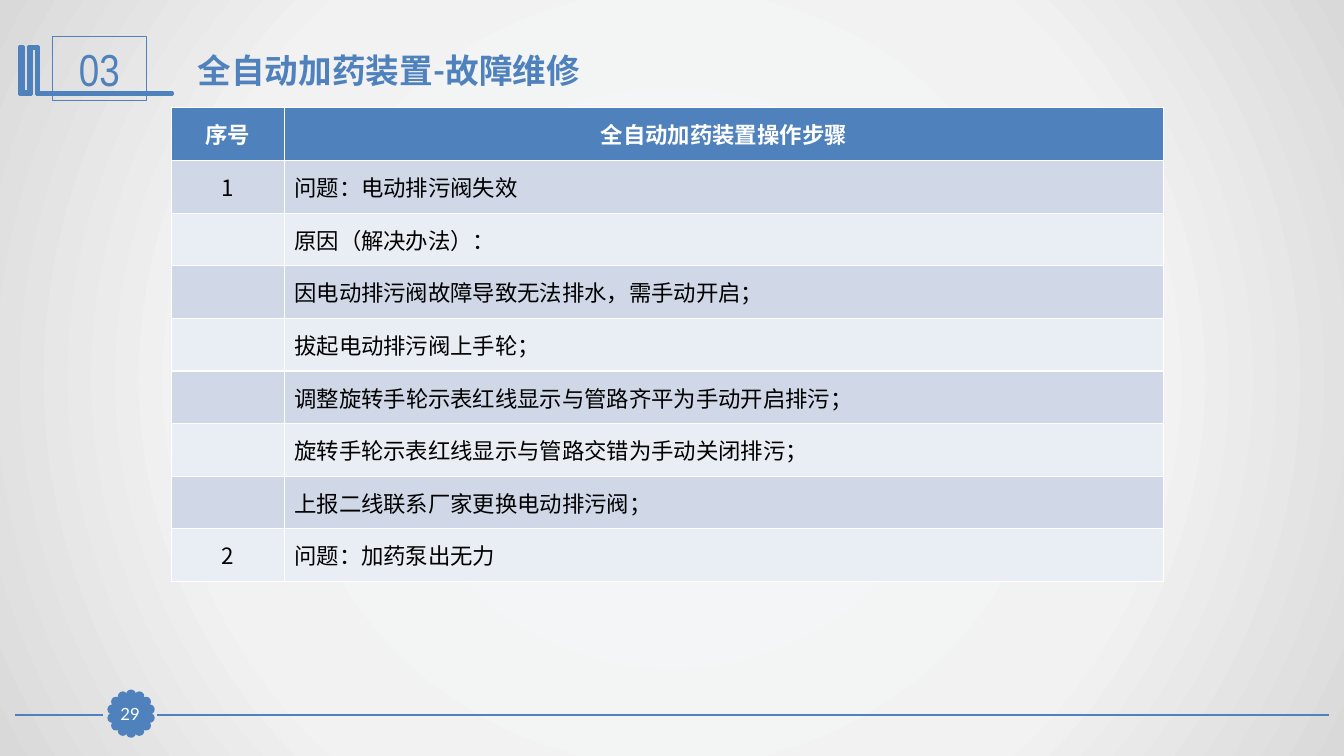
from dataclasses import dataclass
from math import cos, pi, sin

from lxml.etree import SubElement
from pptx import Presentation
from pptx.dml.color import RGBColor
from pptx.enum.shapes import MSO_CONNECTOR, MSO_SHAPE
from pptx.enum.text import MSO_ANCHOR, MSO_AUTO_SIZE, PP_ALIGN
from pptx.oxml import parse_xml
from pptx.oxml.ns import nsdecls, qn
from pptx.util import Inches, Pt


@dataclass(frozen=True)
class Theme:
    blue: str = "4F81BD"
    white: str = "FFFFFF"
    black: str = "000000"
    bands: tuple = ("D0D8E8", "E9EDF4")
    backdrop: tuple = ((0, "F6F9FC"), (63, "F2F2F2"), (100, "D9D9D9"))
    latin: str = "Lato"
    narrow: str = "Arial Narrow"
    cjk: str = "Noto Sans CJK SC"
    section_size: int = 32
    title_size: int = 24
    table_size: int = 16
    page_size: int = 12


THEME = Theme()
TITLE = "全自动加药装置-故障维修"
SECTION = "03"
PAGE = "29"
HEADER = (
    [("序号", THEME.cjk)],
    [("全自动加药装置", THEME.latin), ("操作步骤", THEME.cjk)],
)
STEPS = [
    ("1", [("问题：电动排污阀失效", THEME.cjk)]),
    ("", [("原因（解决办法）：", THEME.cjk)]),
    ("", [("因电动排污阀故障导致无法排水，需手动开启；", THEME.cjk)]),
    ("", [("拔起电动排污阀上手轮；", THEME.cjk)]),
    ("", [("调整", THEME.cjk), ("旋转手轮示表红线显示与管路齐平为手动开启排污；", THEME.latin)]),
    ("", [("旋转手轮示表红线显示与管路交错为手动关闭排污；", THEME.latin)]),
    ("", [("上报二线联系厂家更换电动排污阀；", THEME.cjk)]),
    ("2", [("问题：加药泵出无力", THEME.cjk)]),
]
TABLE_BOX = (1.7, 1.07, 9.84, 4.7)
COLUMN_WIDTHS = (1.12, 8.72)
FOOTER_Y = 7.09
FOOTER_SPANS = ((13.18, 1.56), (1.02, 0.15))
BADGE_CENTER = (1.3, 7.08)
BADGE_RADIUS = 0.19
PETALS = 14
PETAL_SIZE = 0.07
BRACKET = [
    (0.37, 0.46), (0.38, 0.46), (0.38, 0.92), (1.71, 0.92), (1.71, 0.94),
    (0.36, 0.94), (0.36, 0.48), (0.31, 0.48), (0.31, 0.94), (0.19, 0.94),
    (0.19, 0.46), (0.23, 0.46), (0.23, 0.91), (0.28, 0.91), (0.28, 0.46),
]


def rgb(color):
    return RGBColor.from_string(color)


def inches(box):
    return [Inches(length) for length in box]


def style_text(paragraph, size, color, font=None, bold=False, align=PP_ALIGN.LEFT):
    paragraph.alignment = align
    paragraph.font.size = Pt(size)
    paragraph.font.bold = bold
    paragraph.font.color.rgb = rgb(color)
    if font:
        paragraph.font.name = font


def paint(shape, fill, line_width):
    shape.shadow.inherit = False
    if fill:
        shape.fill.solid()
        shape.fill.fore_color.rgb = rgb(fill)
    else:
        shape.fill.background()
    shape.line.color.rgb = rgb(THEME.blue)
    shape.line.width = Pt(line_width)


def add_label(slide, box, text, size, color, font, fill=None, margin=None):
    label = slide.shapes.add_shape(MSO_SHAPE.RECTANGLE, *inches(box))
    paint(label, fill, 0.75)
    frame = label.text_frame
    frame.vertical_anchor = MSO_ANCHOR.MIDDLE
    if margin is not None:
        frame.margin_left = frame.margin_right = Inches(margin)
        frame.margin_top = frame.margin_bottom = Inches(margin)
    frame.text = text
    style_text(frame.paragraphs[0], size, color, font, align=PP_ALIGN.CENTER)


def set_backdrop(slide):
    slide.background.fill.solid()
    solid = slide._element.find(".//" + qn("p:bgPr")).find(qn("a:solidFill"))
    stops = "".join(
        f'<a:gs pos="{position * 1000}"><a:srgbClr val="{color}"/></a:gs>'
        for position, color in THEME.backdrop
    )
    gradient = parse_xml(
        f'<a:gradFill {nsdecls("a")} rotWithShape="1"><a:gsLst>{stops}</a:gsLst>'
        '<a:path path="circle"><a:fillToRect l="50000" t="50000" r="50000" b="50000"/>'
        "</a:path></a:gradFill>"
    )
    solid.getparent().replace(solid, gradient)


def add_footer(slide):
    for start, end in FOOTER_SPANS:
        rule = slide.shapes.add_connector(
            MSO_CONNECTOR.STRAIGHT, *inches((start, FOOTER_Y, end, FOOTER_Y))
        )
        rule.line.color.rgb = rgb(THEME.blue)
        rule.line.width = Pt(1.25)
        SubElement(rule._element.spPr, qn("a:effectLst"))
    center_x, center_y = BADGE_CENTER
    for index in range(PETALS):
        angle = 2 * pi * index / PETALS
        left = center_x + BADGE_RADIUS * sin(angle) - PETAL_SIZE / 2
        top = center_y - BADGE_RADIUS * cos(angle) - PETAL_SIZE / 2
        petal = slide.shapes.add_shape(
            MSO_SHAPE.OVAL, *inches((left, top, PETAL_SIZE, PETAL_SIZE))
        )
        paint(petal, THEME.blue, 2)
    add_label(slide, (1.13, 6.93, 0.32, 0.31), PAGE, THEME.page_size,
              THEME.white, THEME.latin, THEME.blue, 0)


def add_heading(slide):
    outline = [tuple(inches(point)) for point in BRACKET]
    builder = slide.shapes.build_freeform(*outline[0])
    builder.add_line_segments(outline[1:], close=True)
    paint(builder.convert_to_shape(), THEME.blue, 2)
    add_label(slide, (0.52, 0.36, 0.93, 0.64), SECTION, THEME.section_size,
              THEME.blue, THEME.narrow)
    title = slide.shapes.title
    title.left, title.top, title.width, title.height = inches((1.86, 0.44, 9.69, 0.5))
    title.text_frame.text = TITLE
    title.text_frame.auto_size = MSO_AUTO_SIZE.NONE
    title.text_frame.vertical_anchor = MSO_ANCHOR.MIDDLE
    style_text(title.text_frame.paragraphs[0], THEME.title_size, THEME.blue,
               THEME.latin, bold=True)


def fill_cell(cell, runs, fill, color, bold, align):
    cell.fill.solid()
    cell.fill.fore_color.rgb = rgb(fill)
    cell.vertical_anchor = MSO_ANCHOR.MIDDLE
    paragraph = cell.text_frame.paragraphs[0]
    style_text(paragraph, THEME.table_size, color, bold=bold, align=align)
    for text, font in runs:
        run = paragraph.add_run()
        run.text = text
        run.font.name = font


def add_steps(slide):
    row_count = len(STEPS) + 1
    steps = slide.shapes.add_table(
        row_count, len(COLUMN_WIDTHS), *inches(TABLE_BOX)
    ).table
    for column, width in zip(steps.columns, COLUMN_WIDTHS):
        column.width = Inches(width)
    for row in steps.rows:
        row.height = Inches(TABLE_BOX[3] / row_count)
    for column, runs in enumerate(HEADER):
        fill_cell(steps.cell(0, column), runs, THEME.blue, THEME.white, True,
                  PP_ALIGN.CENTER)
    for index, (number, step) in enumerate(STEPS):
        band = THEME.bands[index % 2]
        number_runs = [(number, THEME.cjk)] if number else []
        fill_cell(steps.cell(index + 1, 0), number_runs, band, THEME.black, False,
                  PP_ALIGN.CENTER)
        fill_cell(steps.cell(index + 1, 1), step, band, THEME.black, False,
                  PP_ALIGN.LEFT)


def main():
    presentation = Presentation()
    presentation.slide_width = Inches(13.33)
    presentation.slide_height = Inches(7.5)
    slide = presentation.slides.add_slide(presentation.slide_layouts[5])
    set_backdrop(slide)
    add_footer(slide)
    add_heading(slide)
    add_steps(slide)
    presentation.save("out.pptx")


if __name__ == "__main__":
    main()
